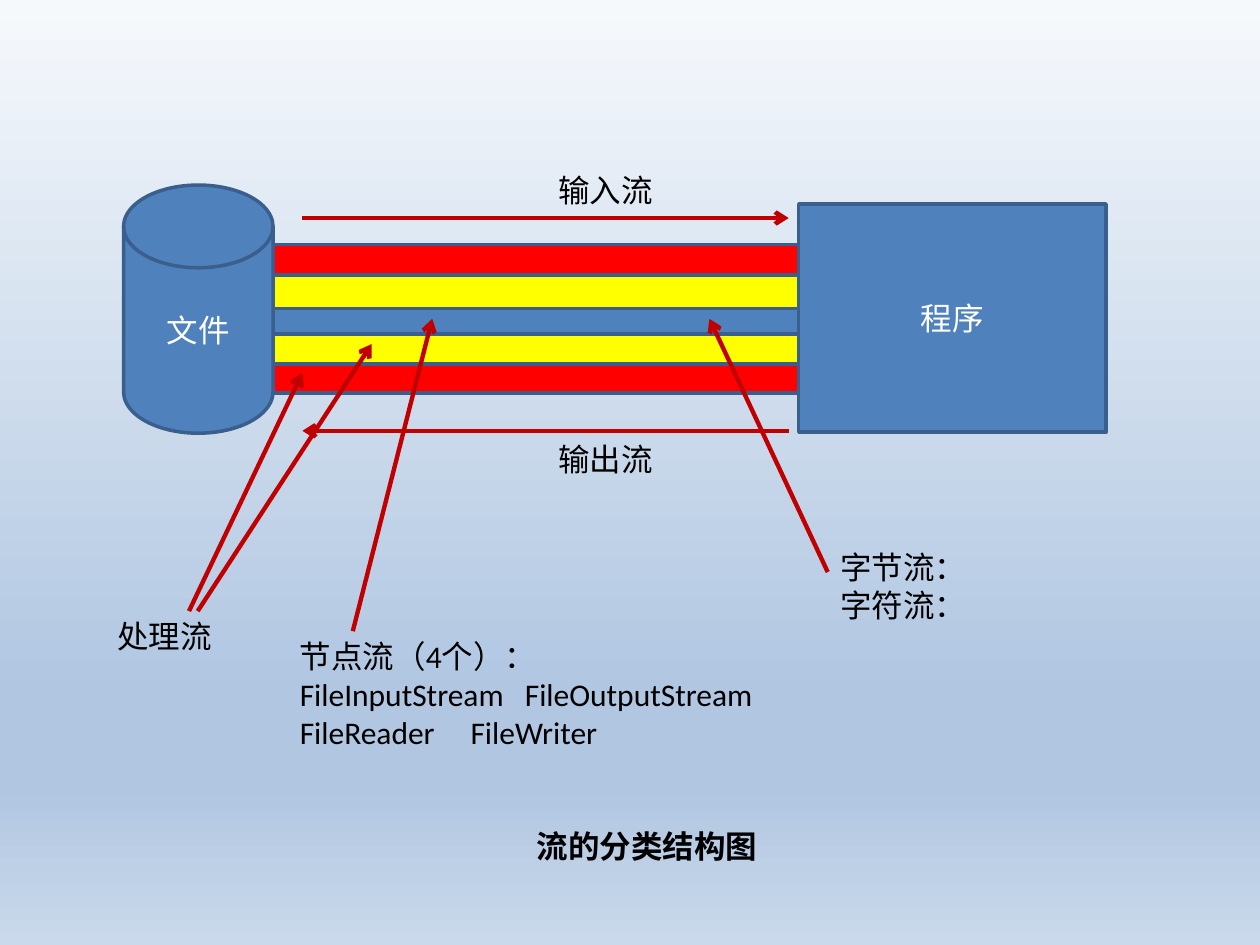
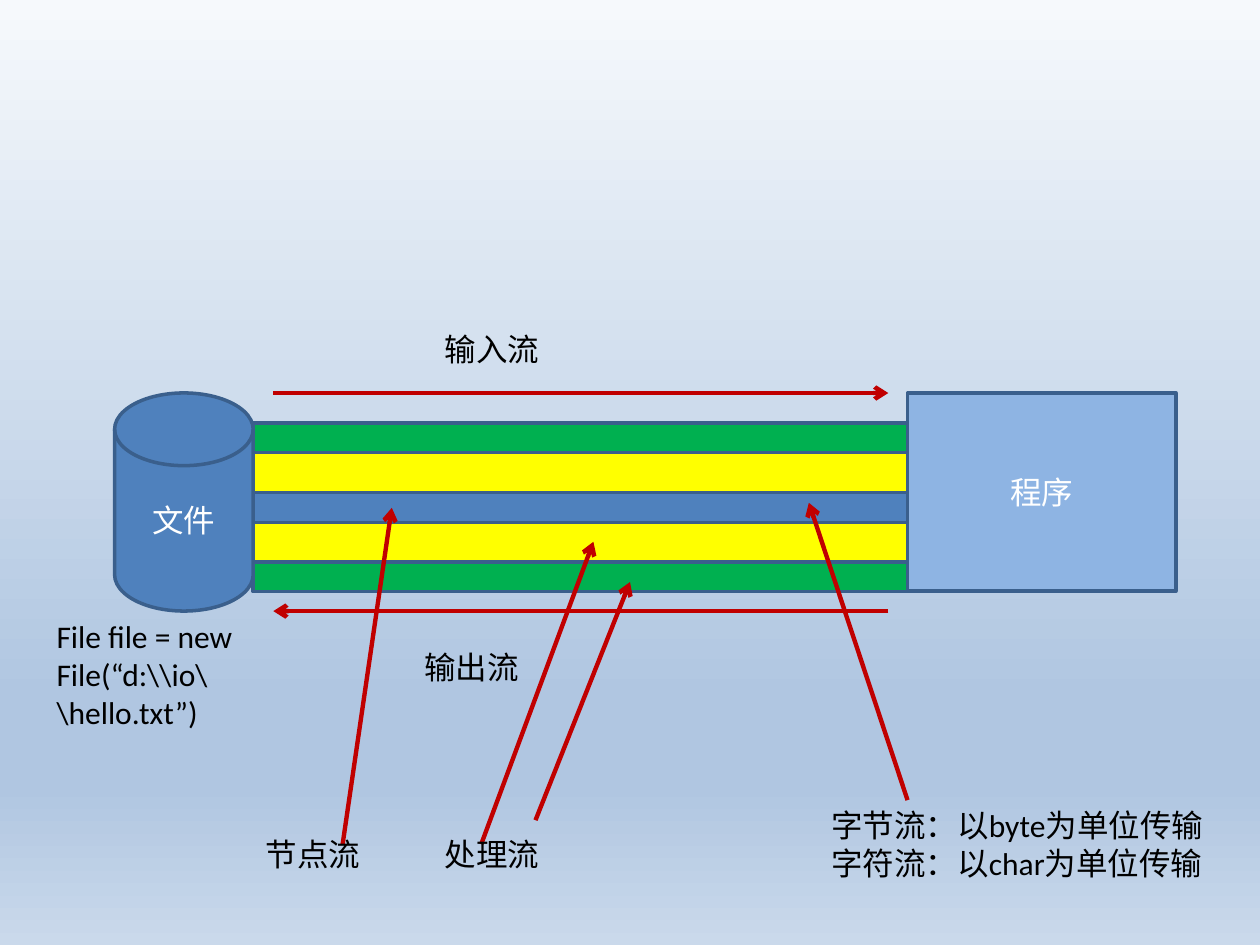
"""Draw two diagrams of data streams between a file and a program."""
from dataclasses import dataclass

from lxml.etree import SubElement as Sub
from pptx import Presentation
from pptx.dml.color import RGBColor as Rgb
from pptx.enum.shapes import MSO_CONNECTOR as Link, MSO_SHAPE as Form
from pptx.enum.text import MSO_ANCHOR as Anchor, MSO_AUTO_SIZE as Auto, PP_ALIGN as Align
from pptx.oxml.ns import qn
from pptx.slide import Slide
from pptx.text.text import TextFrame
from pptx.util import Pt

FONT = "Calibri"
HUES = {
    "black": "000000", "white": "FFFFFF", "blue": "4F81BD", "pale": "8EB4E3",
    "edge": "3A5F8C", "red": "FF0000", "green": "00B050", "yellow": "FFFF00",
    "arrow": "C00000", "top": "F6F9FC", "mid": "B0C6E1", "foot": "CAD9EB",
}
STOPS = ((0, "top"), (74, "mid"), (83, "mid"), (100, "foot"))
TITLE_ONLY, BLANK = 5, 6


@dataclass
class Box:
    left: float
    top: float
    width: float
    height: float

    def lengths(self) -> tuple:
        return Pt(self.left), Pt(self.top), Pt(self.width), Pt(self.height)


@dataclass
class Band:
    hue: str
    top: float
    height: float


@dataclass
class Arrow:
    x1: float
    y1: float
    x2: float
    y2: float


@dataclass
class Note:
    text: str
    box: Box
    tabs: tuple = ()


@dataclass
class Scene:
    disk: Box
    code: Box
    tint: str
    bands: tuple[Band, ...]
    arrows: tuple[Arrow, ...]
    notes: tuple[Note, ...]


def color(name: str) -> Rgb:
    return Rgb.from_string(HUES[name])


def write(frame: TextFrame, text: str, *, hue: str = "black", bold: bool = False,
          align: Align = Align.LEFT, anchor: Anchor = Anchor.TOP,
          fit: Auto = Auto.NONE, tabs: tuple = ()) -> None:
    frame.word_wrap = True
    frame.auto_size = fit
    frame.vertical_anchor = anchor
    frame.text = text
    for row, para in enumerate(frame.paragraphs):
        para.alignment = align
        for run in para.runs:
            run.font.name, run.font.size, run.font.bold = FONT, Pt(18), bold
            run.font.color.rgb = color(hue)
        if row < len(tabs) and tabs[row]:
            stops = Sub(para._p.get_or_add_pPr(), qn("a:tabLst"))
            Sub(stops, qn("a:tab"), pos=str(Pt(tabs[row])), algn="l")


def draw_shape(slide: Slide, form: Form, box: Box, hue: str, text: str = "") -> None:
    shape = slide.shapes.add_shape(form, *box.lengths())
    shape.shadow.inherit = False
    shape.fill.solid()
    shape.fill.fore_color.rgb = color(hue)
    shape.line.color.rgb = color("edge")
    shape.line.width = Pt(2)
    if text:
        write(shape.text_frame, text, hue="white", align=Align.CENTER, anchor=Anchor.MIDDLE)


def draw_arrow(slide: Slide, arrow: Arrow) -> None:
    ends = (Pt(n) for n in (arrow.x1, arrow.y1, arrow.x2, arrow.y2))
    line = slide.shapes.add_connector(Link.STRAIGHT, *ends)
    line.line.color.rgb = color("arrow")
    line.line.width = Pt(2.5)
    props = line.element.spPr
    Sub(props.find(qn("a:ln")), qn("a:tailEnd"), type="arrow")
    Sub(props, qn("a:effectLst"))


def draw_note(slide: Slide, note: Note) -> None:
    frame = slide.shapes.add_textbox(*note.box.lengths()).text_frame
    write(frame, note.text, fit=Auto.SHAPE_TO_FIT_TEXT, tabs=note.tabs)


def draw_scene(slide: Slide, scene: Scene) -> None:
    disk, code = scene.disk, scene.code
    start = disk.left + disk.width
    for band in scene.bands:
        pipe = Box(start, band.top, code.left - start, band.height)
        draw_shape(slide, Form.RECTANGLE, pipe, band.hue)
    draw_shape(slide, Form.FLOWCHART_MAGNETIC_DISK, disk, "blue", "文件")
    draw_shape(slide, Form.RECTANGLE, code, scene.tint, "程序")
    for arrow in scene.arrows:
        draw_arrow(slide, arrow)
    for note in scene.notes:
        draw_note(slide, note)


def draw_title(slide: Slide, text: str, box: Box) -> None:
    title = slide.shapes.title
    title.left, title.top, title.width, title.height = box.lengths()
    write(title.text_frame, text, bold=True, align=Align.CENTER)


def paint_master(deck) -> None:
    master = deck.slide_master
    fill = master.background.fill
    fill.gradient()
    fill.gradient_angle = 270
    stops = master.element.xpath(".//p:bg//a:gsLst")[0]
    for old in list(stops):
        stops.remove(old)
    for spot, hue in STOPS:
        stop = Sub(stops, qn("a:gs"), pos=str(spot * 1000))
        Sub(stop, qn("a:srgbClr"), val=HUES[hue])


KINDS = Scene(
    disk=Box(70.6, 105.8, 85.4, 141.8),
    code=Box(456.4, 116.6, 175.7, 130.4),
    tint="blue",
    bands=(Band("red", 139.7, 85), Band("yellow", 157, 51), Band("blue", 176.4, 14.4)),
    arrows=(
        Arrow(172.8, 124.6, 450.7, 124.6),
        Arrow(450.7, 246.2, 172.8, 246.2),
        Arrow(473, 326.9, 405.4, 182.2),
        Arrow(201.6, 360.7, 247, 182.2),
        Arrow(113, 349.2, 212.4, 196.6),
        Arrow(108, 349.2, 172.8, 213.1),
    ),
    notes=(
        Note("输入流", Box(311.8, 94.3, 139, 29)),
        Note("输出流", Box(311.8, 247.7, 105, 29)),
        Note("字节流：\n字符流：", Box(473, 309.6, 158.4, 51)),
        Note("节点流（4个）：\nFileInputStream\tFileOutputStream\nFileReader\tFileWriter",
             Box(164.2, 360.7, 294.5, 72.7), tabs=(0, 128.6, 97.6)),
        Note("处理流", Box(59.8, 349.2, 96.5, 29)),
    ),
)

UNITS = Scene(
    disk=Box(65.5, 224.6, 79.2, 124.6),
    code=Box(518.6, 224.6, 153.4, 113.2),
    tint="pale",
    bands=(Band("green", 241.7, 96.4), Band("yellow", 258.5, 62.6), Band("blue", 281.3, 17.2)),
    arrows=(
        Arrow(156.2, 224.6, 507.6, 224.6),
        Arrow(507.6, 349.2, 156.2, 349.2),
        Arrow(518.6, 457.2, 462.2, 287.3),
        Arrow(195.8, 482.4, 223.9, 290.2),
        Arrow(275, 482.4, 339.1, 309.6),
        Arrow(306, 468.7, 360, 332.6),
    ),
    notes=(
        Note("输入流", Box(247, 185, 187.2, 29)),
        Note("输出流", Box(235.4, 366.5, 141.8, 29)),
        Note("字节流：以byte为单位传输\n字符流：以char为单位传输", Box(468, 457.2, 252, 51)),
        Note("File file = new File(“d:\\\\io\\\\hello.txt”)", Box(25.2, 349.2, 147.6, 72.7)),
        Note("节点流", Box(144.7, 473.8, 79.2, 29)),
        Note("处理流", Box(247, 473.8, 93.6, 29)),
    ),
)


def main() -> None:
    deck = Presentation()
    deck.slide_width, deck.slide_height = Pt(720), Pt(540)
    paint_master(deck)
    first = deck.slides.add_slide(deck.slide_layouts[TITLE_ONLY])
    draw_scene(first, KINDS)
    draw_title(first, "流的分类结构图", Box(164.2, 468.7, 411, 29))
    draw_scene(deck.slides.add_slide(deck.slide_layouts[BLANK]), UNITS)
    deck.save("out.pptx")


if __name__ == "__main__":
    main()
